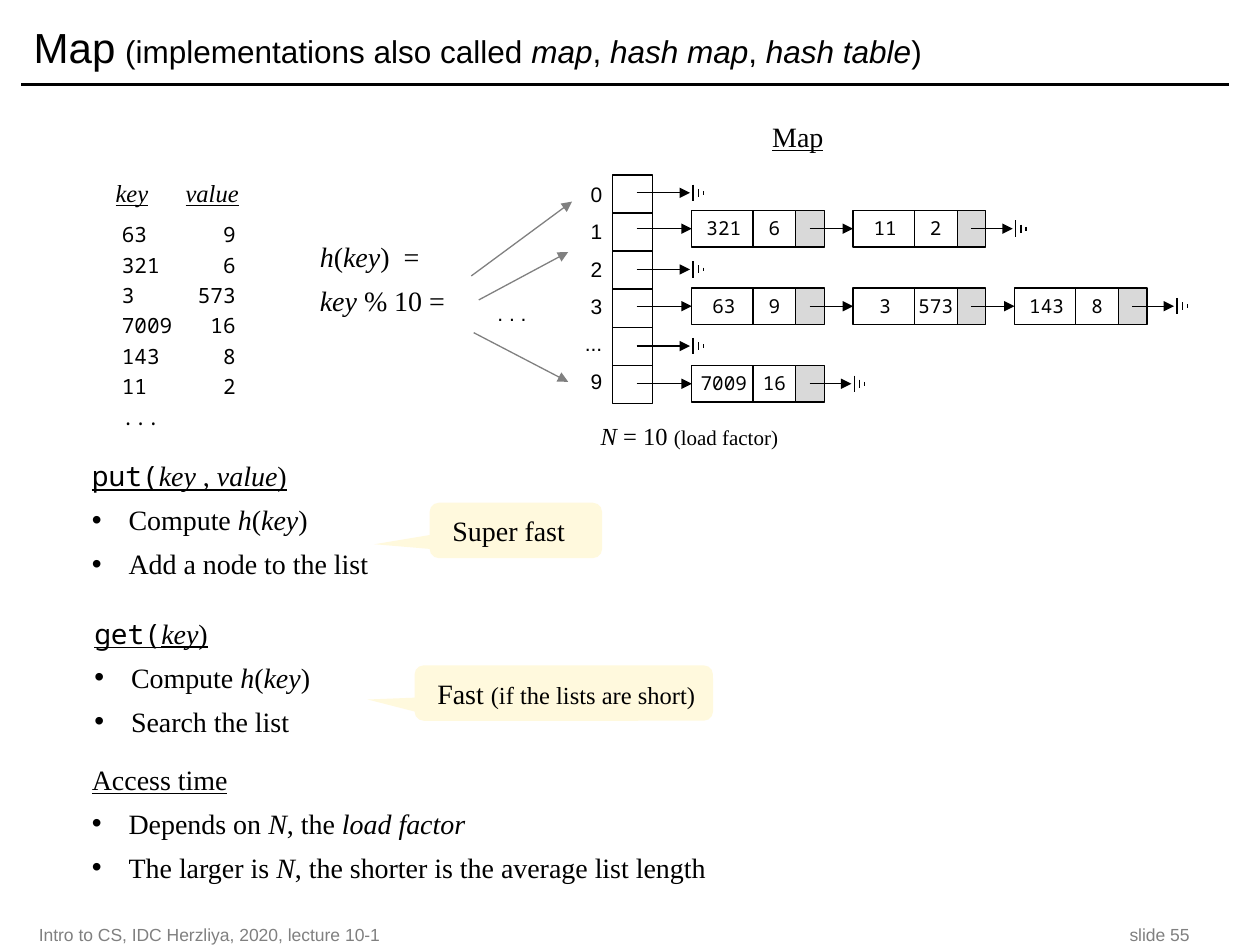
import pptx
import pptx.util
import pptx.dml.color
import pptx.enum.shapes
import pptx.enum.text
import pptx.oxml.ns
from lxml import etree

Pt = pptx.util.Pt
MSO_SHAPE = pptx.enum.shapes.MSO_SHAPE
ALIGN = pptx.enum.text.PP_ALIGN
ANCHOR = pptx.enum.text.MSO_ANCHOR
qn = pptx.oxml.ns.qn

COLORS = {"black": "000000", "white": "FFFFFF", "gray": "808080",
          "pointer": "D9D9D9", "callout": "FFF9DD"}
SANS, SERIF, MONO = "Arial", "Times New Roman", "Noto Sans Mono"

# ---- Content: a run is (text, marks, size, font); marks are i and u ----
TITLE = [("Map", "", 24), (" ", "", 20), ("(implementations also called ",), ("map", "i"),
         (", ",), ("hash map", "i"), (", ",), ("hash table", "i"), (")",)]
FOOTER = "Intro to CS, IDC Herzliya, 2020, lecture 10-1\tslide 55"
PAIRS = [("63", "9"), ("321", "6"), ("3", "573"), ("7009", "16"), ("143", "8"), ("11", "2")]
BUCKETS = [
    ("0", []),
    ("1", [("321", "6"), ("11", "2")]),
    ("2", []),
    ("3", [("63", "9"), ("3", "573"), ("143", "8")]),
    ("...", []),
    ("9", [("7009", "16")]),
]
HASH = [[("h", "i"), ("(",), ("key", "i"), (")  =",)], [("key", "i"), (" % 10 =",)]]
HASH_ARROWS = [(269.3, 157.7, 326.9, 115.2), (273.6, 171.4, 324.7, 144),
               (270.7, 190.1, 324.7, 218.2)]
COMPUTE = [("Compute ",), ("h", "i"), ("(",), ("key", "i"), (")",)]
# (left, top, width, height), heading, bullets
SECTIONS = [
    ((45.4, 258.5, 189.4, 92.9),
     [("put(", "u", 16, MONO), ("key ", "iu"), (", ", "u"), ("value", "iu"), (")", "u")],
     [COMPUTE, [("Add a node to the list",)]]),
    ((46.8, 348.5, 170.6, 92.9),
     [("get(", "u", 16, MONO), ("key", "iu"), (")", "u")],
     [COMPUTE, [("Search the list",)]]),
    ((45.4, 432, 488.9, 79.9),
     [("Access time", "u")],
     [[("Depends on ",), ("N", "i"), (", the ",), ("load factor", "i")],
      [("The larger is ",), ("N", "i"), (", the shorter is the average list length",)]]),
]
# (left, top, width, height), tip of the wedge, runs
CALLOUTS = [
    ((245.5, 287.3, 98.6, 31.7), (-0.82, 0.249), [("Super fast",)]),
    ((236.9, 380.2, 170.6, 31.7), (-0.657, 0.117),
     [("Fast ",), ("(if the lists are short)", "", 14)]),
]

# ---- Measures of the hash table ----
TABLE_LEFT, TABLE_TOP, BUCKET_WIDTH, BUCKET_HEIGHT = 350, 100, 23, 21.75
LABEL_WIDTH, LABEL_PITCH = 35.7, 21.4
ARROW_START, ARROW_TOP, ARROW_PITCH = 363.8, 110.2, 21.9
NODE_LEFT, NODE_PITCH, NODE_HEIGHT = 395.3, 92.2, 20.9
NODE_TOP, NODE_ROW_PITCH = 98.1, 22.15
KEY_CELL, VALUE_CELL, POINTER_CELL = (0, 36.7), (35, 24.5), (59, 16.8)
POINTER_START = 67.3
END_MARK = [(0, 9.4), (3, 4.6), (5.9, 2.2)]

presentation = pptx.Presentation()
presentation.slide_width, presentation.slide_height = Pt(720), Pt(540)
slide = presentation.slides.add_slide(presentation.slide_layouts[6])


def rgb(name):
    return pptx.dml.color.RGBColor.from_string(COLORS[name])


def write(shape, paragraphs, size, font, color="black", align=ALIGN.LEFT, anchor=ANCHOR.TOP,
          margins=(7.2, 3.6, 7.2, 3.6), wrap=True, space=0, line_spacing=None,
          bullets=False, tab=None):
    frame = shape.text_frame
    frame.word_wrap, frame.vertical_anchor = wrap, anchor
    (frame.margin_left, frame.margin_top,
     frame.margin_right, frame.margin_bottom) = map(Pt, margins)
    for index, runs in enumerate(paragraphs):
        paragraph = frame.add_paragraph() if index else frame.paragraphs[0]
        paragraph.alignment = align
        if line_spacing:
            paragraph.line_spacing = line_spacing
        if index:
            paragraph.space_before = Pt(space)
        properties = paragraph._p.get_or_add_pPr()
        if bullets and index:
            properties.set("marL", str(Pt(21)))
            properties.set("indent", str(-Pt(21)))
            etree.SubElement(properties, qn("a:buFont"), typeface=SANS)
            etree.SubElement(properties, qn("a:buChar"), char="•")
        if tab:
            position, kind = tab
            tabs = etree.SubElement(properties, qn("a:tabLst"))
            etree.SubElement(tabs, qn("a:tab"), pos=str(Pt(position)), algn=kind)
        for text, marks, run_size, run_font in (
                tuple(run) + ("", None, None)[len(run) - 1:] for run in runs):
            run = paragraph.add_run()
            run.text = text
            run.font.size = Pt(run_size or size)
            run.font.name = run_font or font
            run.font.italic, run.font.underline = "i" in marks, "u" in marks
            run.font.color.rgb = rgb(color)


def add_text(box, paragraphs, size, font, **options):
    write(slide.shapes.add_textbox(*map(Pt, box)), paragraphs, size, font, **options)


def add_box(box, fill=None, line="black", kind=MSO_SHAPE.RECTANGLE):
    shape = slide.shapes.add_shape(kind, *map(Pt, box))
    shape.shadow.inherit = False
    if fill:
        shape.fill.solid()
        shape.fill.fore_color.rgb = rgb(fill)
    else:
        shape.fill.background()
    if line:
        shape.line.color.rgb = rgb(line)
        shape.line.width = Pt(0.75)
    else:
        shape.line.fill.background()
    return shape


def add_line(x1, y1, x2, y2, color="black", width=0.75, arrow=False):
    connector = slide.shapes.add_connector(
        pptx.enum.shapes.MSO_CONNECTOR.STRAIGHT, *map(Pt, (x1, y1, x2, y2)))
    connector.line.color.rgb = rgb(color)
    connector.line.width = Pt(width)
    properties = connector._element.spPr
    if arrow:
        etree.SubElement(properties.find(qn("a:ln")), qn("a:tailEnd"), type="triangle")
    etree.SubElement(properties, qn("a:effectLst"))
    return connector


def add_node(left, top, key, value):
    """Draw one list node and return its key cell."""
    cells = []
    for (offset, width), text, fill in ((KEY_CELL, key, None), (POINTER_CELL, "", "pointer"),
                                        (VALUE_CELL, value, "white")):
        cell = add_box((left + offset, top, width, NODE_HEIGHT), fill)
        if text:
            write(cell, [[(text,)]], 11, MONO, align=ALIGN.CENTER, margins=(0, 3.6, 0, 3.6))
        cells.append(cell)
    return cells[0]


# ---- Title and footer ----
add_line(12.2, 48.2, 702, 48.2, width=2)
add_text((12.2, 5.8, 689.8, 41.8), [TITLE], 18, SANS, anchor=ANCHOR.MIDDLE)
add_text((15.1, 526.3, 684, 15.8), [[(FOOTER,)]], 10, SANS, color="gray",
         anchor=ANCHOR.MIDDLE, tab=(657.6, "r"))

# ---- Key and value list ----
add_text((59, 101.5, 228.2, 23.8), [[("key", "iu"), ("\t",), ("value", "iu")]], 14, SERIF,
         line_spacing=0.8, tab=(40, "l"))
add_text((62.6, 123.1, 189.4, 121.7),
         [[(f"{key}\t{value}",)] for key, value in PAIRS] + [[("...",)]],
         12, MONO, space=3, tab=(65, "r"))

# ---- Hash function ----
add_text((175.7, 133.2, 90, 51.8), HASH, 16, SERIF, space=6, wrap=False)
for ends in HASH_ARROWS:
    add_line(*ends, color="gray", arrow=True)
label_style = {"align": ALIGN.RIGHT, "margins": (0, 3.6, 5.8, 3.6)}
add_text((270.7, 168.5, 36, 21.6), [[(". . .",)]], 12, SANS, **label_style)

# ---- Hash table with its lists ----
add_text((434.2, 68.4, 61.9, 23.8), [[("Map", "u")]], 16, SERIF, line_spacing=0.8)
for row, (label, nodes) in enumerate(BUCKETS):
    add_box((TABLE_LEFT, TABLE_TOP + row * BUCKET_HEIGHT, BUCKET_WIDTH, BUCKET_HEIGHT))
    add_text((TABLE_LEFT - LABEL_WIDTH, TABLE_TOP + row * LABEL_PITCH, LABEL_WIDTH, 21.6),
             [[(label,)]], 12, SANS, **label_style)
    node_top = NODE_TOP + row * NODE_ROW_PITCH
    middle = node_top + NODE_HEIGHT / 2 if nodes else ARROW_TOP + row * ARROW_PITCH
    start = ARROW_START
    for column, (key, value) in enumerate(nodes):
        left = NODE_LEFT + column * NODE_PITCH
        key_cell = add_node(left, node_top, key, value)
        add_line(start, middle, left, middle, arrow=True).end_connect(key_cell, 1)
        start = left + POINTER_START
    end = NODE_LEFT + len(nodes) * NODE_PITCH - 1
    add_line(start, middle, end, middle, arrow=True)
    for offset, height in END_MARK:
        x = end + 1.7 + offset
        add_line(x, middle - height / 2, x, middle + height / 2)
add_text((336.2, 236.9, 118.1, 24.5),
         [[("N", "i"), (" = 10 ",), ("(load factor)", "", 12)]], 14, SERIF, wrap=False)

# ---- Operations and callouts ----
for box, heading, bullets in SECTIONS:
    add_text(box, [heading] + bullets, 16, SERIF, space=6, bullets=True)
for box, (tip_x, tip_y), runs in CALLOUTS:
    callout = add_box(box, "callout", None, MSO_SHAPE.ROUNDED_RECTANGULAR_CALLOUT)
    callout.adjustments[0], callout.adjustments[1] = tip_x, tip_y
    write(callout, [runs], 16, SERIF, anchor=ANCHOR.MIDDLE, margins=(11.5, 3.6, 7.2, 3.6))

presentation.save("out.pptx")
